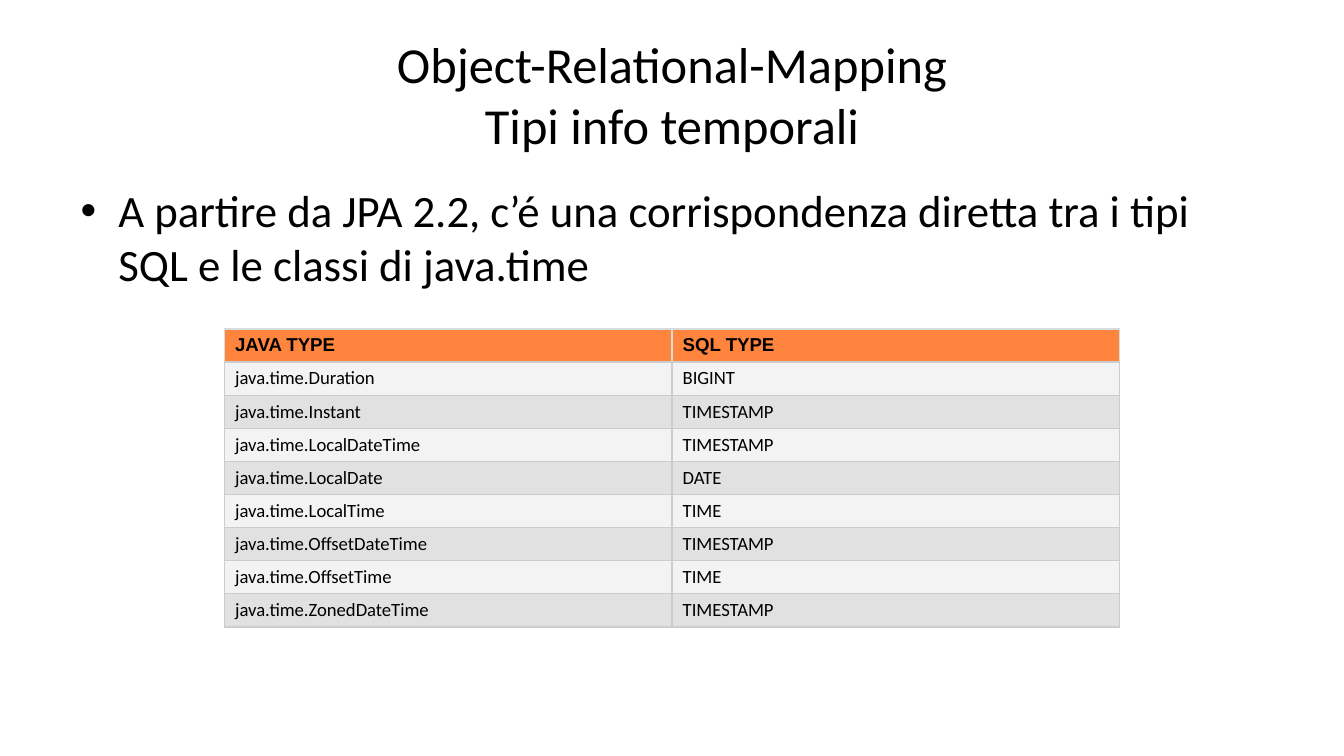
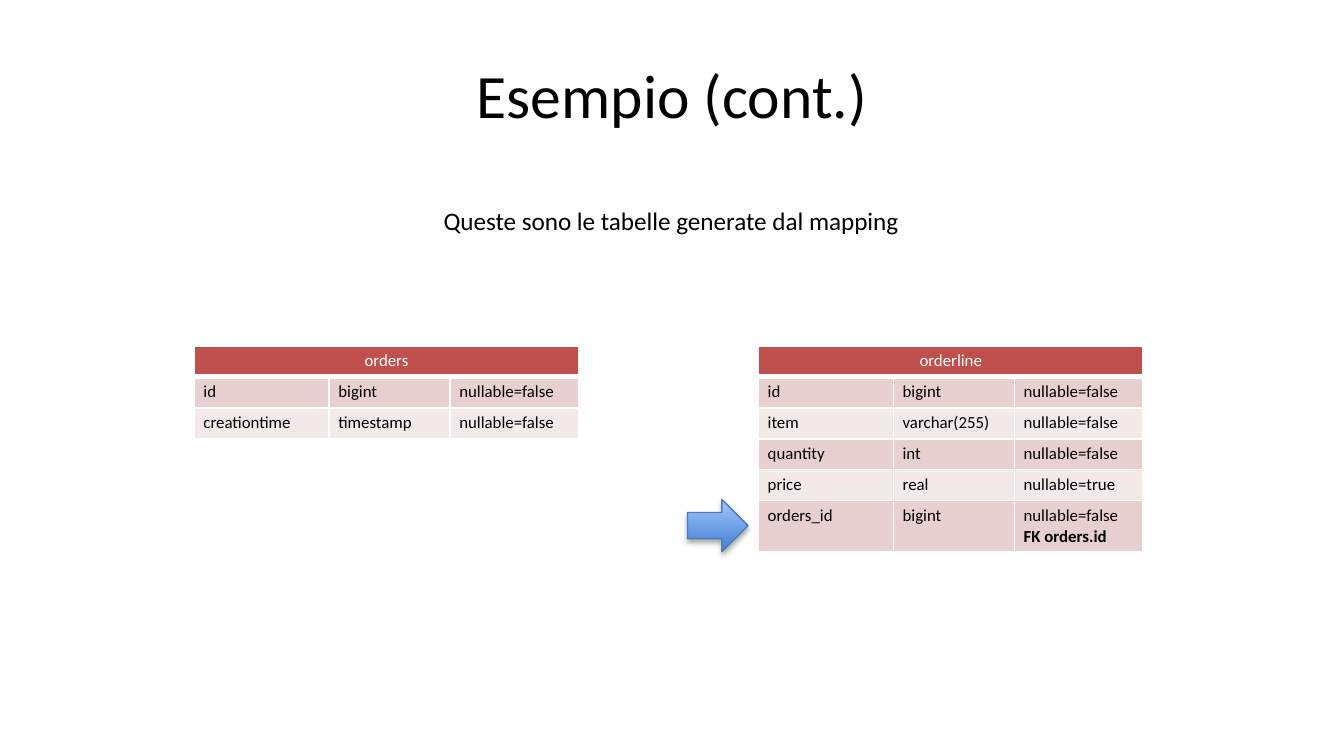
from lxml.etree import SubElement as add_element
from pptx import Presentation
from pptx.dml.color import RGBColor
from pptx.enum.shapes import MSO_SHAPE as Preset
from pptx.enum.text import MSO_ANCHOR as Anchor, MSO_AUTO_SIZE as AutoSize, PP_ALIGN as Align
from pptx.oxml.ns import qn
from pptx.util import Pt

BLACK, WHITE = "000000", "FFFFFF"
TITLE_BOX = (36, 16.5, 648, 67.7)
BODY_BOX = (36, 94.5, 648, 267)

TYPES_TITLE = ["Object-Relational-Mapping", "Tipi info temporali"]
TYPES_BODY = "A partire da JPA 2.2, c’é una corrispondenza diretta tra i tipi SQL e le classi di java.time"
TYPE_ROWS = [
    ("JAVA TYPE", "SQL TYPE"),
    ("java.time.Duration", "BIGINT"),
    ("java.time.Instant", "TIMESTAMP"),
    ("java.time.LocalDateTime", "TIMESTAMP"),
    ("java.time.LocalDate", "DATE"),
    ("java.time.LocalTime", "TIME"),
    ("java.time.OffsetDateTime", "TIMESTAMP"),
    ("java.time.OffsetTime", "TIME"),
    ("java.time.ZonedDateTime", "TIMESTAMP"),
]

EXAMPLE_TITLE = ["Esempio (cont.)"]
EXAMPLE_CAPTION = "Queste sono le tabelle generate dal mapping"
ORDERS_ROWS = [
    ("orders", "", ""),
    ("id", "bigint", "nullable=false"),
    ("creationtime", "timestamp", "nullable=false"),
]
ORDERLINE_ROWS = [
    ("orderline", "", ""),
    ("id", "bigint", "nullable=false"),
    ("item", "varchar(255)", "nullable=false"),
    ("quantity", "int", "nullable=false"),
    ("price", "real", "nullable=true"),
    ("orders_id", "bigint", "nullable=false\nFK orders.id"),
]

TYPES_STYLE = dict(
    columns=(239.8, 239.8), row_height=17.75, size=10, inset=5.8, anchor=Anchor.MIDDLE,
    header=dict(fill="FF843D", color=BLACK, font="Arial", bold=True, align=Align.LEFT),
    bands=("F3F3F3", "E2E1E1"), grid=("CCCCCC", 0.75),
    header_edge=("D9DCDD", 0.75), header_base=("CCCCCC", 0.75), merge=False,
)
SCHEMA_STYLE = dict(
    columns=(72.3, 64.8, 69), row_height=16.6, size=9, inset=5, anchor=Anchor.TOP,
    header=dict(fill="C0504D", color=WHITE, font="Calibri", bold=False, align=Align.CENTER),
    bands=("E8D0D0", "F4E9E9"), grid=(WHITE, 1),
    header_edge=(WHITE, 1), header_base=(WHITE, 3), merge=True,
)


def rgb(value):
    """Turn a hex string into a colour."""
    return RGBColor.from_string(value)


def place(shape, box):
    """Move and size a shape in points."""
    shape.left, shape.top, shape.width, shape.height = map(Pt, box)


def add_text(paragraph, text, size, color=BLACK, font="Calibri", bold=False):
    """Append one formatted run."""
    run = paragraph.add_run()
    run.text = text
    run.font.size, run.font.name, run.font.bold = Pt(size), font, bold
    run.font.color.rgb = rgb(color)


def add_slide(presentation, layout, title_lines, size):
    """Add a slide with its centred title."""
    slide = presentation.slides.add_slide(presentation.slide_layouts[layout])
    title = slide.shapes.title
    place(title, TITLE_BOX)
    frame = title.text_frame
    frame.auto_size, frame.vertical_anchor = AutoSize.NONE, Anchor.MIDDLE
    paragraph = frame.paragraphs[0]
    paragraph.alignment = Align.CENTER
    for index, line in enumerate(title_lines):
        if index:
            paragraph.add_line_break()
        add_text(paragraph, line, size)
    return slide


def set_borders(cell, edges):
    """Draw the cell edges given as tag: (colour, width)."""
    properties = cell._tc.get_or_add_tcPr()
    for tag, (color, width) in edges.items():
        line = add_element(properties, qn(f"a:{tag}"), w=str(Pt(width)))
        fill = add_element(line, qn("a:solidFill"))
        add_element(fill, qn("a:srgbClr"), val=color)


def format_cell(cell, text, row, style):
    """Fill, border and write one table cell."""
    look = style["header"] if row == 0 else dict(
        fill=style["bands"][(row - 1) % 2], color=BLACK, font="Calibri", bold=False, align=Align.LEFT)
    side = style["header_edge"] if row == 0 else style["grid"]
    set_borders(cell, {
        "lnL": side, "lnR": side,
        "lnT": style["header_base"] if row == 1 else side,
        "lnB": style["header_base"] if row == 0 else side,
    })
    cell.fill.solid()
    cell.fill.fore_color.rgb = rgb(look["fill"])
    cell.vertical_anchor = style["anchor"]
    cell.margin_left = cell.margin_right = Pt(style["inset"])
    cell.margin_top = cell.margin_bottom = Pt(2.7)
    for index, line in enumerate(text.split("\n")):
        paragraph = cell.text_frame.add_paragraph() if index else cell.text_frame.paragraphs[0]
        paragraph.alignment = look["align"]
        add_text(paragraph, line, style["size"], look["color"], look["font"], look["bold"] or index > 0)


def add_grid(slide, left, top, rows, style):
    """Add a banded table with a header row."""
    columns = style["columns"]
    heights = [style["row_height"] + 10.9 * max(text.count("\n") for text in row) for row in rows]
    table = slide.shapes.add_table(
        len(rows), len(columns), Pt(left), Pt(top), Pt(sum(columns)), Pt(sum(heights))).table
    table.horz_banding = table.first_row = False
    for column, width in zip(table.columns, columns):
        column.width = Pt(width)
    for row, height in zip(table.rows, heights):
        row.height = Pt(height)
    for row, texts in enumerate(rows):
        for column, text in enumerate(texts):
            format_cell(table.cell(row, column), text, row, style)
    if style["merge"]:
        table.cell(0, 0).merge(table.cell(0, len(columns) - 1))


def add_key_arrow(slide, box):
    """Add the shaded arrow that points at the foreign key."""
    arrow = slide.shapes.add_shape(Preset.RIGHT_ARROW, *map(Pt, box))
    arrow.fill.gradient()
    arrow.fill.gradient_angle = 90
    for stop, color in zip(arrow.fill.gradient_stops, ("3F80CE", "A4C4FF")):
        stop.color.rgb = rgb(color)
    arrow.line.color.rgb = rgb("4B7EBC")
    arrow.line.width = Pt(0.75)
    arrow.shadow.inherit = False
    effects = arrow._element.spPr.find(qn("a:effectLst"))
    shadow = add_element(effects, qn("a:outerShdw"), blurRad=str(Pt(3.1)), dist=str(Pt(1.8)),
                         dir="5400000", rotWithShape="0")
    color = add_element(shadow, qn("a:srgbClr"), val=BLACK)
    add_element(color, qn("a:alpha"), val="35000")


def build_types_slide(presentation):
    """Build the slide on temporal types."""
    slide = add_slide(presentation, 1, TYPES_TITLE, 27)
    body = slide.placeholders[1]
    place(body, BODY_BOX)
    body.text_frame.auto_size = AutoSize.NONE
    paragraph = body.text_frame.paragraphs[0]
    properties = paragraph._p.get_or_add_pPr()
    properties.set("marL", str(Pt(20.25)))
    properties.set("indent", str(Pt(-20.25)))
    add_text(paragraph, TYPES_BODY, 24)
    add_grid(slide, 120.2, 176.2, TYPE_ROWS, TYPES_STYLE)


def build_example_slide(presentation):
    """Build the slide with the generated tables."""
    slide = add_slide(presentation, 5, EXAMPLE_TITLE, 33)
    for left, rows in ((104, ORDERS_ROWS), (406.3, ORDERLINE_ROWS)):
        add_grid(slide, left, 185.3, rows, SCHEMA_STYLE)
    caption = slide.shapes.add_textbox(*map(Pt, (230.5, 106.7, 262, 23.7)))
    caption.text_frame.word_wrap = False
    caption.text_frame.auto_size = AutoSize.SHAPE_TO_FIT_TEXT
    add_text(caption.text_frame.paragraphs[0], EXAMPLE_CAPTION, 13.5)
    add_key_arrow(slide, (368.3, 267.6, 32.4, 28))


def main():
    """Build and save the presentation."""
    presentation = Presentation()
    presentation.slide_width, presentation.slide_height = Pt(720), Pt(405)
    build_types_slide(presentation)
    build_example_slide(presentation)
    presentation.save("out.pptx")


if __name__ == "__main__":
    main()
